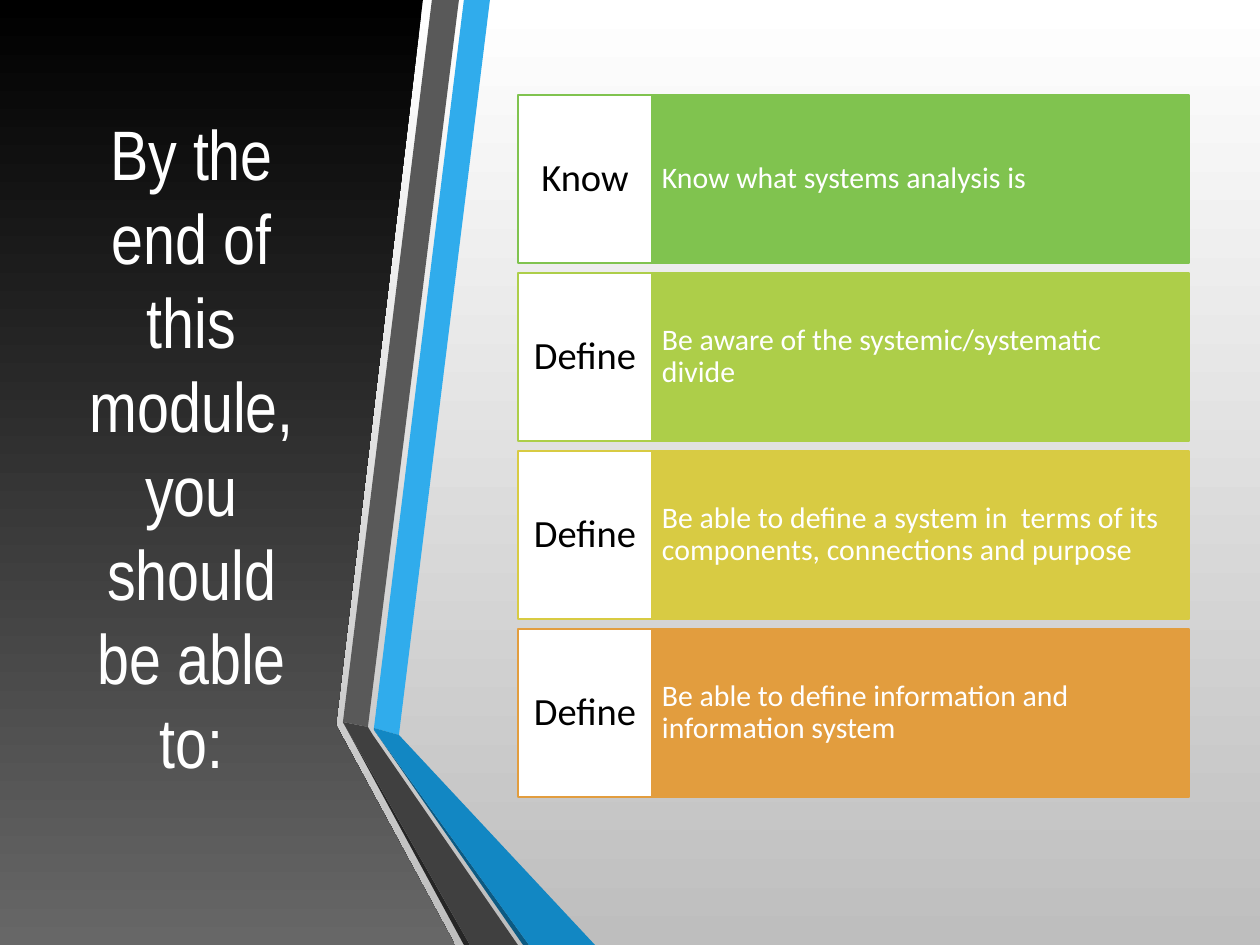
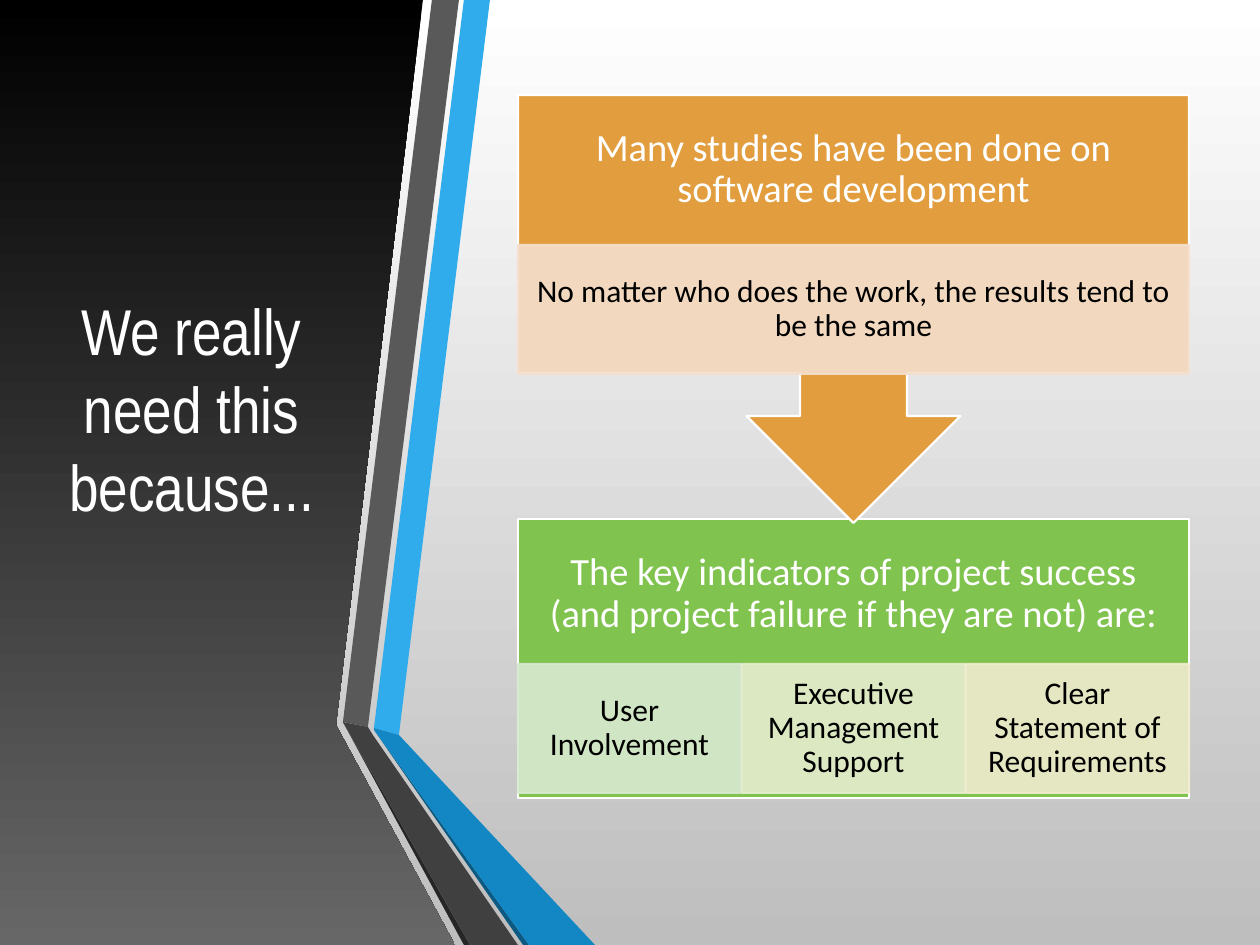
"""Builds two slides on the aims of a systems analysis module."""
from lxml.etree import SubElement
from pptx import Presentation
from pptx.dml.color import RGBColor
from pptx.enum.shapes import MSO_SHAPE as SHAPE
from pptx.enum.text import MSO_ANCHOR as ANCHOR, PP_ALIGN as ALIGN
from pptx.oxml.ns import qn
from pptx.util import Pt

EMU_PER_PX = 914400 / 126
WIDTH, HEIGHT = 1260, 945
WHITE, BLACK, SILVER, ASH = "FFFFFF", "000000", "BEBEBE", "676767"
GREEN, LIME, YELLOW, ORANGE = "80C34F", "ADCE49", "D8CB43", "E29D3E"
TITLE_FONT, BODY_FONT = "Arial Narrow", "Calibri"

LEFT, TOP, BODY_W = 518, 95, 671
PANEL = [(0, 0), (423, 0), (336, 725), (455, HEIGHT), (0, HEIGHT)]
RIBBONS = [
    ("30ACEC", [(374, 728), (399, 735), (490, 0), (464, 0)]),
    ("595959", [(459, 0), (432, 0), (343, 722), (368, 727)]),
    ("262626", [(343, 722), (464, HEIGHT), (470, HEIGHT)]),
    ("0C5A82", [(374, 730), (523, HEIGHT), (529, HEIGHT)]),
    ("1287C3", [(374, 728), (374, 730), (529, HEIGHT), (595, HEIGHT), (399, 735)]),
    ("404040", [(343, 722), (470, HEIGHT), (518, HEIGHT), (373, 735), (368, 727)]),
]


def px(n):
    return round(n * EMU_PER_PX)


def rgb(hex_color):
    return RGBColor.from_string(hex_color)


class Deck:
    """Holds the presentation, its style and the current slide."""

    def __init__(self):
        self.prs = Presentation()
        self.prs.slide_width, self.prs.slide_height = px(WIDTH), px(HEIGHT)
        self.slide = None

    def new_slide(self, title, size, title_h=703):
        self.slide = self.prs.slides.add_slide(self.prs.slide_layouts[6])
        self.gradient(self.slide.background.fill, WHITE, SILVER)
        self.gradient(self.outline(PANEL).fill, BLACK, ASH)
        for color, points in RIBBONS:
            self.solid(self.outline(points).fill, color)
        box = self.slide.shapes.add_textbox(px(55), px(TOP), px(273), px(title_h))
        self.text(box, title, size, WHITE, (13, 6, 13, 6), font=TITLE_FONT, spacing=None)

    def gradient(self, fill, top, bottom):
        fill.gradient()
        fill.gradient_angle = 270
        for stop, color, position in zip(fill.gradient_stops, (top, bottom), (0, 1)):
            stop.color.rgb = rgb(color)
            stop.position = position

    def solid(self, fill, color, opacity=100):
        fill.solid()
        fill.fore_color.rgb = rgb(color)
        if opacity < 100:
            clr = fill._xPr.find(qn("a:solidFill"))[0]
            SubElement(clr, qn("a:alpha"), val=str(opacity * 1000))

    def outline(self, points):
        fb = self.slide.shapes.build_freeform(*points[0], scale=EMU_PER_PX)
        fb.add_line_segments(points[1:], close=True)
        sp = fb.convert_to_shape()
        sp.shadow.inherit = False
        sp.line.fill.background()
        return sp

    def block(self, x, y, w, h, fill, line, kind=SHAPE.RECTANGLE, opacity=100):
        sp = self.slide.shapes.add_shape(kind, px(x), px(y), px(w), px(h))
        sp.shadow.inherit = False
        self.solid(sp.fill, fill, opacity)
        sp.line.width = Pt(1.25)
        self.solid(sp.line.fill, line, opacity)
        return sp

    def text(self, sp, words, size, color, insets, align=ALIGN.CENTER,
             font=BODY_FONT, spacing=0.9):
        tf = sp.text_frame
        tf.word_wrap = True
        tf.vertical_anchor = ANCHOR.MIDDLE
        tf.margin_left, tf.margin_top, tf.margin_right, tf.margin_bottom = map(px, insets)
        p = tf.paragraphs[0]
        p.alignment = align
        p.line_spacing = spacing
        r = p.add_run()
        r.text = words
        r.font.size, r.font.name = Pt(size), font
        r.font.color.rgb = rgb(color)

    def goal(self, y, label, words, color):
        label_w, h = 134, 168
        sp = self.block(LEFT + label_w, y, BODY_W - label_w, h, color, color)
        self.text(sp, words, 17, WHITE, (10, 43, 10, 43), ALIGN.LEFT)
        sp = self.block(LEFT, y, label_w, h, WHITE, color)
        self.text(sp, label, 22, BLACK, (7, 16, 7, 16))

    def heading(self, y, h, words, color, kind=SHAPE.RECTANGLE):
        sp = self.block(LEFT, y, BODY_W, h, color, WHITE, kind)
        self.text(sp, words, 22, WHITE, (21, 21, 21, 150))

    def detail(self, x, y, w, words, color):
        sp = self.block(x, y, w, 129, color, color, opacity=90)
        self.text(sp, words, 18, BLACK, (17, 4, 17, 4))


def goals_slide(deck):
    deck.new_slide("By the end of this module, you should be able to:", 40)
    goals = [
        ("Know", "Know what systems analysis is", GREEN),
        ("Define", "Be aware of the systemic/systematic divide", LIME),
        ("Define", "Be able to define a system in  terms of its components, "
                   "connections and purpose", YELLOW),
        ("Define", "Be able to define information and information system", ORANGE),
    ]
    for i, goal in enumerate(goals):
        deck.goal(TOP + 178 * i, *goal)


def reasons_slide(deck):
    deck.new_slide("We really need this because...", 37, title_h=625)
    deck.heading(519, 279, "The key indicators of project success "
                 "(and project failure if they are not) are:", GREEN)
    indicators = [
        ("User Involvement", "D8E9D0"),
        ("Executive Management Support", "E5EDCF"),
        ("Clear Statement of Requirements", "F1ECCF"),
    ]
    for i, indicator in enumerate(indicators):
        deck.detail(LEFT + 224 * i, 664, 223, *indicator)
    deck.heading(TOP, 428, "Many studies have been done on software development",
                 ORANGE, SHAPE.DOWN_ARROW_CALLOUT)
    deck.detail(LEFT, 245, BODY_W, "No matter who does the work, the results "
                "tend to be the same", "F4DFCE")


def main():
    deck = Deck()
    goals_slide(deck)
    reasons_slide(deck)
    deck.prs.save("out.pptx")


if __name__ == "__main__":
    main()
